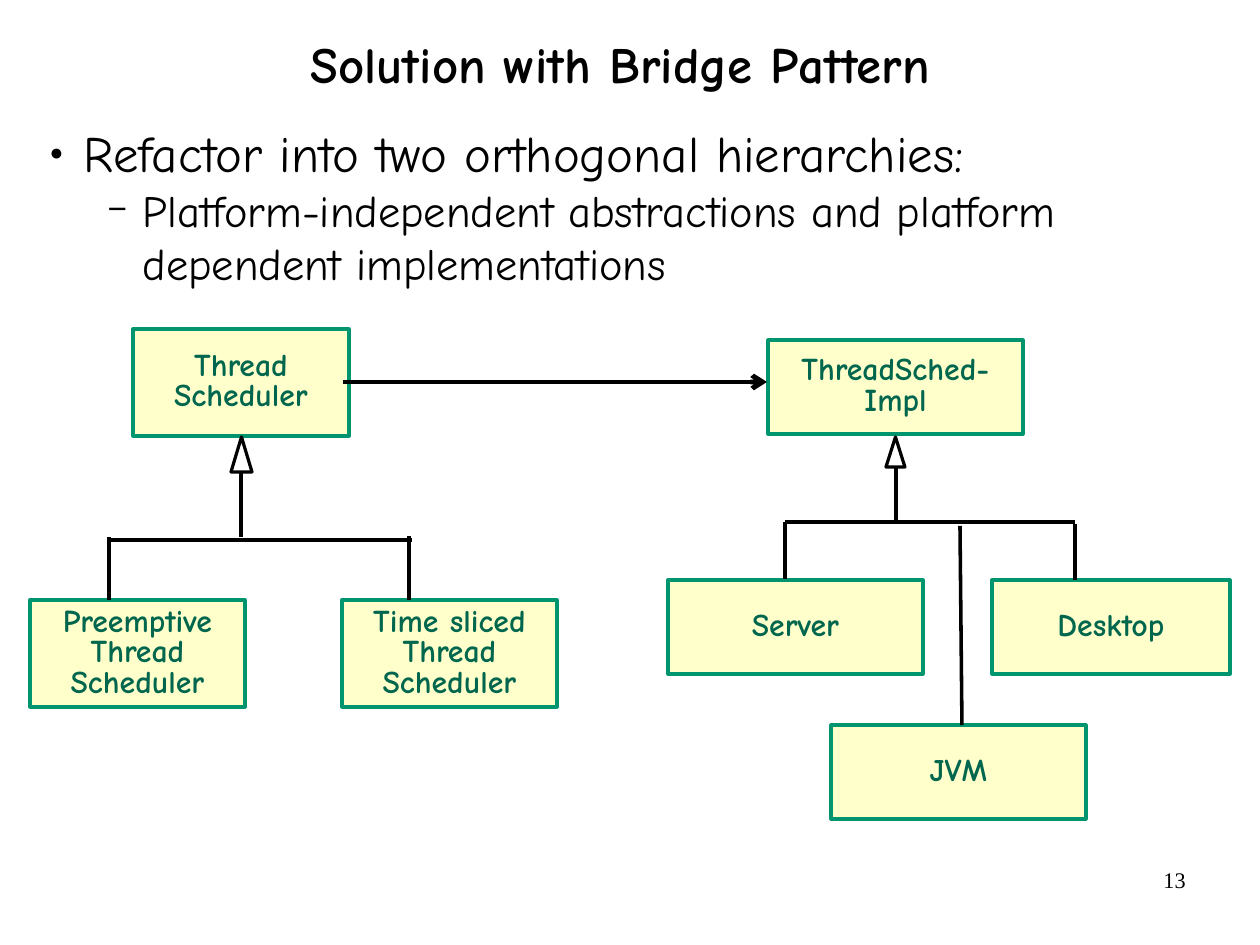
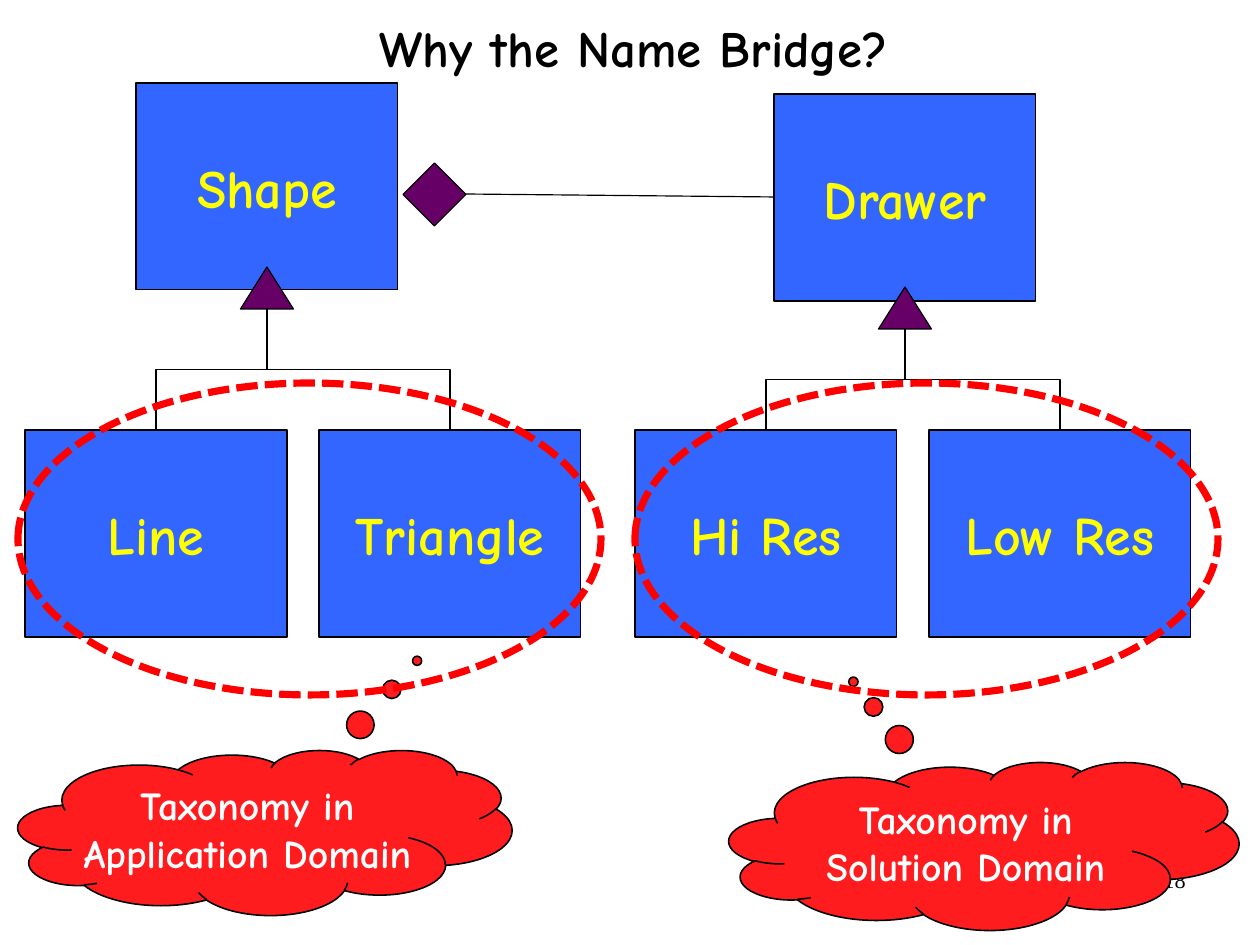
"""Build two slides on the Bridge design pattern."""
from dataclasses import dataclass

from lxml import etree
from pptx import Presentation
from pptx import util as u
from pptx.dml.color import RGBColor
from pptx.enum import dml, shapes, text
from pptx.oxml.ns import qn

PX = 8000


@dataclass(frozen=True)
class Theme:
    """Colours, fonts and type sizes of both slides."""
    ink: str = "000000"
    class_fill: str = "FFFFCC"
    class_line: str = "00956F"
    class_text: str = "00664D"
    node_fill: str = "3366FF"
    node_text: str = "FFFF00"
    marker: str = "660066"
    cloud: str = "FF1C1F"
    cloud_text: str = "FFFFFF"
    ring: str = "FF0000"
    face: str = "Comic Neue"
    number_face: str = "Times New Roman"
    title: int = 32
    point: int = 32
    subpoint: int = 28
    class_size: int = 20
    node_size: int = 34
    cloud_size: int = 25
    number: int = 14


T = Theme()
SLIDE_SIZE = (1260, 945)
NUMBER_AREA = (903, 861, 294, 65)

SOLUTION = {
    "title": "Solution with Bridge Pattern",
    "title_area": (30, -11, 1181, 111),
    "anchor": text.MSO_ANCHOR.BOTTOM,
    "number": "13",
    "layout": 1,
}
POINTS_AREA = (37, 115, 1172, 230)
POINTS = [
    ("Refactor into two orthogonal hierarchies:", 0, T.point, "●", 45, 34, 34),
    ("Platform-independent abstractions and platform dependent implementations",
     1, T.subpoint, "−", 75, 93, 35),
]
CLASSES = [
    ("Thread Scheduler", (133, 329, 216, 107)),
    ("Preemptive Thread Scheduler", (30, 600, 215, 107)),
    ("Time sliced Thread Scheduler", (342, 600, 215, 107)),
    ("ThreadSched-Impl", (768, 340, 255, 94)),
    ("Server", (668, 580, 255, 94)),
    ("Desktop", (992, 580, 238, 94)),
    ("JVM", (831, 725, 255, 94)),
]
INHERITANCE_HEADS = [(231, 437, 21, 35), (886, 437, 19, 30)]
RAILS = [(107, 540, 412, 540), (785, 522, 1075, 522)]
STEMS = [
    (241, 472, 241, 537), (109, 537, 109, 600), (409, 536, 409, 600),
    (896, 467, 896, 522), (785, 522, 785, 579), (1075, 524, 1075, 580),
    (962, 725, 960, 526),
]
IMPLEMENTATION_LINK = (343, 382, 767, 382)

NAMING = {
    "title": "Why the Name Bridge?",
    "title_area": (97, 19, 1074, 111),
    "anchor": text.MSO_ANCHOR.TOP,
    "number": "18",
    "layout": 5,
}
NODE_W, NODE_H, NODE_STEP = 262, 207, 294
HEAD_W, HEAD_H = 53, 42
CHILD_TOP = 430
HIERARCHIES = [
    {"parent": ("Shape", 136, 83), "head_top": 267, "left": 25,
     "children": ["Line", "Triangle"]},
    {"parent": ("Drawer", 774, 94), "head_top": 287, "left": 635,
     "children": ["Hi Res", "Low Res"]},
]
AGGREGATION = (403, 163, 63, 63)
BRIDGE = (466, 194, 774, 197)
DOMAINS = [
    (["Taxonomy in", "Application Domain"], (18, 750, 494, 165),
     (0.308, -1.041), (18, 383, 583, 312)),
    (["Taxonomy in", "Solution Domain"], (729, 762, 510, 168),
     (-0.256, -0.978), (635, 383, 583, 312)),
]


def px(lengths):
    return [u.Emu(round(length * PX)) for length in lengths]


def assign(target, values):
    for name, value in values.items():
        setattr(target, name, value)


def place(shape, area):
    assign(shape, dict(zip(("left", "top", "width", "height"), px(area))))


def write(frame, lines, size, color, align=None, face=T.face, bold=True,
          spacing=None, **frame_format):
    assign(frame, {"word_wrap": True, "auto_size": text.MSO_AUTO_SIZE.NONE, **frame_format})
    for index, line in enumerate(lines):
        paragraph = frame.add_paragraph() if index else frame.paragraphs[0]
        assign(paragraph, {"alignment": align, "line_spacing": spacing,
                           "space_before": u.Pt(0)})
        run = paragraph.add_run()
        run.text = line
        style(run, size, color, face, bold)


def style(run, size, color, face=T.face, bold=False):
    assign(run.font, {"size": u.Pt(size), "name": face, "bold": bold})
    run.font.color.rgb = RGBColor.from_string(color)


def draw(slide, kind, area, fill, line, weight):
    shape = slide.shapes.add_shape(kind, *px(area))
    shape.shadow.inherit = False
    if fill:
        shape.fill.solid()
        shape.fill.fore_color.rgb = RGBColor.from_string(fill)
    else:
        shape.fill.background()
    shape.line.color.rgb = RGBColor.from_string(line)
    shape.line.width = u.Pt(weight)
    return shape


def connect(slide, ends, weight, kind=shapes.MSO_CONNECTOR.STRAIGHT):
    link = slide.shapes.add_connector(kind, *px(ends))
    link.line.color.rgb = RGBColor.from_string(T.ink)
    link.line.width = u.Pt(weight)
    etree.SubElement(link._element.spPr, qn("a:effectLst"))
    return link


def branch(slide, parent_x, parent_y, child_x, child_y):
    """Draw an elbow that leaves the parent downwards and enters the child from above."""
    side = 1 if child_x < parent_x else -1
    mid_x, mid_y = (parent_x + child_x) / 2, (parent_y + child_y) / 2
    reach = side * (child_y - parent_y) / 2
    spread = abs(child_x - parent_x) / 2
    ends = (mid_x - reach, mid_y - spread, mid_x + reach, mid_y + spread)
    elbow = connect(slide, ends, 0.75, shapes.MSO_CONNECTOR.ELBOW)
    turn = 90 if side == 1 else 270
    elbow._element.spPr.find(qn("a:xfrm")).set("rot", str(turn * 60000))


def start_slide(deck, content):
    slide = deck.slides.add_slide(deck.slide_layouts[content["layout"]])
    title = slide.shapes.title
    place(title, content["title_area"])
    write(title.text_frame, [content["title"]], T.title, T.ink, text.PP_ALIGN.CENTER,
          spacing=0.88, vertical_anchor=content["anchor"])
    number = slide.shapes.add_textbox(*px(NUMBER_AREA))
    write(number.text_frame, [content["number"]], T.number, T.ink, text.PP_ALIGN.RIGHT,
          face=T.number_face, bold=False)
    return slide


def add_points(slide):
    body = slide.placeholders[1]
    place(body, POINTS_AREA)
    frame = body.text_frame
    inset_x, inset_y = u.Inches(0.11), u.Inches(0.06)
    assign(frame, {"margin_left": inset_x, "margin_right": inset_x,
                   "margin_top": inset_y, "margin_bottom": inset_y,
                   "auto_size": text.MSO_AUTO_SIZE.NONE})
    for index, (point, level, size, bullet, percent, margin, hang) in enumerate(POINTS):
        paragraph = frame.add_paragraph() if index else frame.paragraphs[0]
        props = paragraph._p.get_or_add_pPr()
        props.set("marL", str(margin * PX))
        props.set("indent", str(-hang * PX))
        etree.SubElement(props, qn("a:buSzPct"), val=str(percent * 1000))
        etree.SubElement(props, qn("a:buChar"), char=bullet)
        assign(paragraph, {"level": level, "space_before": u.Pt(0)})
        run = paragraph.add_run()
        run.text = point
        style(run, size, T.ink)


def add_solution(deck):
    slide = start_slide(deck, SOLUTION)
    add_points(slide)
    for name, area in CLASSES:
        box = draw(slide, shapes.MSO_SHAPE.RECTANGLE, area, T.class_fill, T.class_line, 2)
        write(box.text_frame, [name], T.class_size, T.class_text, text.PP_ALIGN.CENTER,
              spacing=0.8, vertical_anchor=text.MSO_ANCHOR.MIDDLE)
    for area in INHERITANCE_HEADS:
        draw(slide, shapes.MSO_SHAPE.ISOSCELES_TRIANGLE, area, None, T.ink, 2)
    for weight, group in ((2, RAILS), (2.25, STEMS)):
        for ends in group:
            connect(slide, ends, weight)
    arrow = connect(slide, IMPLEMENTATION_LINK, 3)
    etree.SubElement(arrow._element.spPr.find(qn("a:ln")), qn("a:tailEnd"), type="arrow")


def add_node(slide, name, left, top):
    node = draw(slide, shapes.MSO_SHAPE.RECTANGLE, (left, top, NODE_W, NODE_H),
                T.node_fill, T.ink, 0.75)
    write(node.text_frame, [name], T.node_size, T.node_text, text.PP_ALIGN.CENTER,
          vertical_anchor=text.MSO_ANCHOR.MIDDLE)


def add_hierarchy(slide, hierarchy):
    add_node(slide, *hierarchy["parent"])
    center = hierarchy["parent"][1] + NODE_W / 2
    head_top = hierarchy["head_top"]
    draw(slide, shapes.MSO_SHAPE.ISOSCELES_TRIANGLE,
         (center - HEAD_W / 2, head_top, HEAD_W, HEAD_H), T.marker, T.ink, 0.75)
    for index, child in enumerate(hierarchy["children"]):
        left = hierarchy["left"] + index * NODE_STEP
        add_node(slide, child, left, CHILD_TOP)
        branch(slide, center, head_top + HEAD_H, left + NODE_W / 2, CHILD_TOP)


def add_naming(deck):
    slide = start_slide(deck, NAMING)
    for hierarchy in HIERARCHIES:
        add_hierarchy(slide, hierarchy)
    draw(slide, shapes.MSO_SHAPE.DIAMOND, AGGREGATION, T.marker, T.ink, 0.75)
    connect(slide, BRIDGE, 0.75)
    for lines, area, pointer, ring_area in DOMAINS:
        cloud = draw(slide, shapes.MSO_SHAPE.CLOUD_CALLOUT, area, T.cloud, T.ink, 1)
        for index, value in enumerate(pointer):
            cloud.adjustments[index] = value
        write(cloud.text_frame, lines, T.cloud_size, T.cloud_text, text.PP_ALIGN.CENTER,
              word_wrap=False, vertical_anchor=text.MSO_ANCHOR.MIDDLE)
        ring = draw(slide, shapes.MSO_SHAPE.OVAL, ring_area, None, T.ring, 4.5)
        ring.line.dash_style = dml.MSO_LINE.SQUARE_DOT


def main():
    deck = Presentation()
    assign(deck, dict(zip(("slide_width", "slide_height"), px(SLIDE_SIZE))))
    add_solution(deck)
    add_naming(deck)
    deck.save("out.pptx")


if __name__ == "__main__":
    main()
